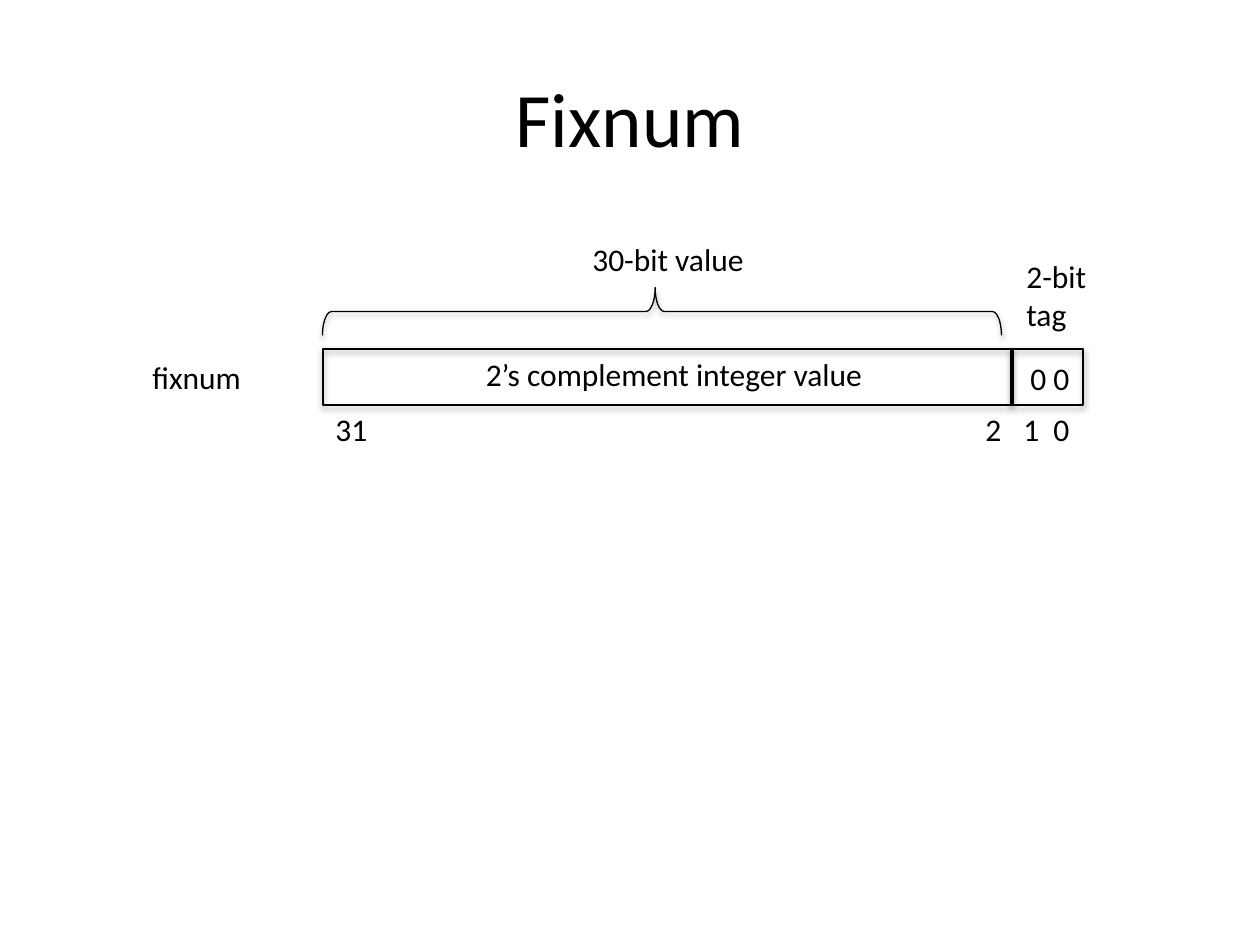
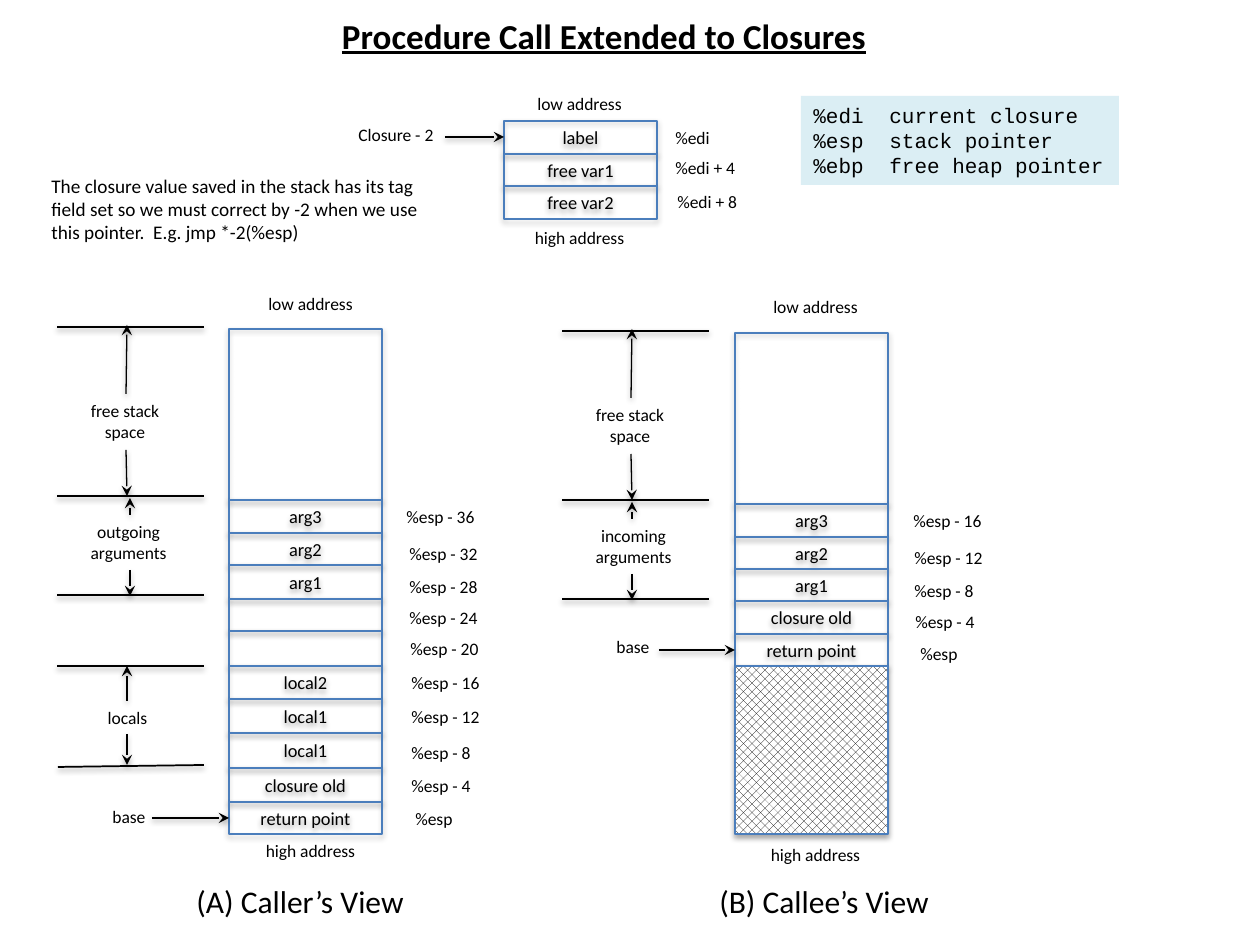
"""Build two slides: the fixnum bit layout and the closure call stack views."""
from lxml import etree
from pptx import Presentation
from pptx.dml.color import RGBColor
from pptx.enum.dml import MSO_PATTERN
from pptx.enum.shapes import MSO_CONNECTOR, MSO_SHAPE
from pptx.enum.text import MSO_ANCHOR, MSO_AUTO_SIZE, PP_ALIGN
from pptx.oxml.ns import qn
from pptx.util import Emu, Pt

RECT, BRACE = MSO_SHAPE.RECTANGLE, MSO_SHAPE.RIGHT_BRACE
STRAIGHT = MSO_CONNECTOR.STRAIGHT
LEFT, CENTER = PP_ALIGN.LEFT, PP_ALIGN.CENTER
MIDDLE, GROW = MSO_ANCHOR.MIDDLE, MSO_AUTO_SIZE.SHAPE_TO_FIT_TEXT
DOTS = MSO_PATTERN.PERCENT_50

BLACK = RGBColor(0, 0, 0)
WHITE = RGBColor(255, 255, 255)
BLUE = RGBColor(0x4B, 0x7E, 0xBC)
PALE_BLUE = RGBColor(0xDB, 0xEE, 0xF4)
BODY, MONO = "Calibri", "Courier New"
PX = 914400 / 126
CELL_W = 153
VIEW_SHIFT = (505, 4)

FIXNUM_LABELS = [
    ("0 0", 1018, 353, 64, 50),
    ("2-bit\ntag", 1014, 251, 86, 89),
    ("fixnum", 140, 352, 115, 50),
    ("30-bit value", 580, 234, 179, 50),
]
INTEGER_LABEL = ("2’s complement integer value", 444, 349, 460, 50)
BIT_NUMBERS, BIT_TABS = "31\t2\t1\t0", (650, 688, 718)

REGISTERS = "%edi\tcurrent closure\n%esp\tstack pointer\n%ebp\tfree heap pointer"
NOTE = ("The closure value saved in the stack has its tag field set so we must "
        "correct by -2 when we use this pointer.  E.g. jmp *-2(%esp)")

STACKS = [
    dict(x=504, end=219, low=(510, 87), high=(510, 221), rows=[
        ("label", 121, "%edi", 663, 121),
        ("free var1", 154, "%edi + 4", 663, 151),
        ("free var2", 186, "%edi + 8", 665, 185)]),
    dict(x=229, end=834, low=(241, 287), high=(241, 834), rows=[
        ("", 329, "", 0, 0),
        ("arg3", 500, "%esp - 36", 394, 500),
        ("arg2", 533, "%esp - 32", 397, 537),
        ("arg1", 565, "%esp - 28", 397, 570),
        ("", 599, "%esp - 24", 397, 601),
        ("", 631, "%esp - 20", 398, 632),
        ("local2", 666, "%esp - 16", 399, 666),
        ("local1", 699, "%esp - 12", 399, 700),
        ("local1", 733, "%esp - 8", 399, 736),
        ("closure old", 768, "%esp - 4", 399, 769),
        ("return point", 802, "%esp", 403, 802)]),
    dict(x=735, end=834, low=(746, 290), high=(746, 838), rows=[
        ("", 333, "", 0, 0),
        ("arg3", 504, "%esp - 16", 901, 504),
        ("arg2", 537, "%esp - 12", 902, 541),
        ("arg1", 569, "%esp - 8", 902, 574),
        ("closure old", 601, "%esp - 4", 903, 605),
        ("return point", 634, "%esp", 908, 637),
        ("hatched", 666, "", 0, 0)]),
]
VIEWS = [
    dict(args="outgoing\narguments", axis=130, shift=(0, 0),
         caption=("(A) Caller’s View", 184, 876, 236, 50)),
    dict(args="incoming\narguments", axis=127, shift=VIEW_SHIFT,
         caption=("(B) Callee’s View", 707, 876, 239, 50)),
]
RULE_YS = (327, 496, 595)
FREE_ARROWS = [(126, 394, 127, 325), (126, 450, 127, 496)]
ARG_ARROWS = [(515, 498), (570, 596)]
LOCAL_RULES = [(204, 666, 57, 666), (204, 765, 58, 767)]
LOCAL_ARROWS = [(127, 701, 127, 666), (127, 734, 127, 765)]
POINTERS = [
    ("base", 100, 800, 59, (152, 818, 229, 818)),
    ("base", 604, 630, 59, (659, 650, 735, 650)),
    ("Closure - 2", 346, 118, 102, (445, 137, 504, 137)),
]


def px(*lengths):
    return [Emu(round(n * PX)) for n in lengths]


def add_xml(parent, tag, **attrs):
    return etree.SubElement(parent, qn(tag), attrs)


def cast_shadow(sp, dist, alpha):
    effects = sp._element.spPr.find(qn("a:effectLst"))
    if effects is None:
        effects = add_xml(sp._element.spPr, "a:effectLst")
    shadow = add_xml(effects, "a:outerShdw", blurRad="40000", dist=str(dist),
                     dir="5400000", rotWithShape="0")
    color = add_xml(shadow, "a:srgbClr", val="000000")
    add_xml(color, "a:alpha", val=str(alpha * 1000))


def write(tf, text, size, align=LEFT, tabs=(), **font):
    style = dict(name=BODY, size=Pt(size)) | font
    for i, line in enumerate(text.split("\n")):
        p = tf.add_paragraph() if i else tf.paragraphs[0]
        p.alignment = align
        if tabs:
            stops = add_xml(p._p.get_or_add_pPr(), "a:tabLst")
            for stop in px(*tabs):
                add_xml(stops, "a:tab", pos=str(stop), algn="l")
        r = p.add_run()
        r.text = line
        r.font.color.rgb = BLACK
        for key, value in style.items():
            setattr(r.font, key, value)


def add_text(s, text, x, y, w, h, size, wrap=False, **style):
    sp = s.shapes.add_textbox(*px(x, y, w, h))
    sp.text_frame.word_wrap = wrap
    sp.text_frame.auto_size = GROW
    write(sp.text_frame, text, size, **style)
    return sp


def add_title(s, text, x, y, w, h, size, **font):
    sp = s.shapes.add_textbox(*px(x, y, w, h))
    sp.text_frame.word_wrap = True
    sp.text_frame.vertical_anchor = MIDDLE
    write(sp.text_frame, text, size, CENTER, **font)


def add_outline(s, kind, x, y, w, h, color, width, dist=23000, alpha=35):
    sp = s.shapes.add_shape(kind, *px(x, y, w, h))
    sp.fill.background()
    sp.line.color.rgb = color
    sp.line.width = Pt(width)
    sp.shadow.inherit = False
    cast_shadow(sp, dist, alpha)
    return sp


def add_line(s, x1, y1, x2, y2, width=1, arrow=False):
    sp = s.shapes.add_connector(STRAIGHT, *px(x1, y1, x2, y2))
    sp.line.color.rgb = BLACK
    sp.line.width = Pt(width)
    if arrow:
        add_xml(sp.line._get_or_add_ln(), "a:tailEnd", type="stealth")
    cast_shadow(sp, 20000, 38)


def add_stack(s, x, end, low, high, rows):
    bottoms = [row[1] for row in rows[1:]] + [end]
    for (label, top, ref, ref_x, ref_y), bottom in zip(rows, bottoms):
        sp = add_outline(s, RECT, x, top, CELL_W, bottom - top, BLUE, 0.75)
        if label == "hatched":
            sp.fill.patterned()
            sp.fill.pattern = DOTS
            sp.fill.fore_color.rgb = BLACK
            sp.fill.back_color.rgb = WHITE
        elif label:
            sp.text_frame.vertical_anchor = MIDDLE
            write(sp.text_frame, label, 10.5, CENTER)
        if ref:
            width = {4: 62, 8: 86, 9: 95}[len(ref)]
            add_text(s, ref, ref_x, ref_y, width, 34, 10)
    for text, spot in (("low address", low), ("high address", high)):
        add_text(s, text, *spot, 139, 34, 10, True, align=CENTER)


def add_view(s, args, axis, shift, caption):
    dx, dy = shift
    for y in RULE_YS:
        add_line(s, 204 + dx, y + dy, 57 + dx, y + dy)
    arrows = FREE_ARROWS + [(axis, y1, axis, y2) for y1, y2 in ARG_ARROWS]
    for x1, y1, x2, y2 in arrows:
        add_line(s, x1 + dx, y1 + dy, x2 + dx, y2 + dy, 0.75, True)
    for text, x, y, w in (("free stack space", 74, 394, 102), (args, 55, 515, 147)):
        add_text(s, text, x + dx, y + dy, w, 55, 10, True, align=CENTER)
    add_text(s, *caption, 18)


prs = Presentation()
prs.slide_width, prs.slide_height = px(1260, 945)
blank = prs.slide_layouts[6]

s = prs.slides.add_slide(blank)
add_title(s, "Fixnum", 63, 38, 1134, 157, 44)
add_outline(s, RECT, 323, 349, 760, 56, BLACK, 1.25)
add_text(s, BIT_NUMBERS, 323, 404, 766, 50, 18, True, tabs=BIT_TABS)
add_line(s, 1012, 349, 1012, 405, 2)
for label in FIXNUM_LABELS:
    add_text(s, *label, 18)
add_text(s, *INTEGER_LABEL, 18, True, align=CENTER)
brace = add_outline(s, BRACE, 638, -28, 48, 679, BLACK, 0.75, 20000, 38)
brace.rotation = 270
brace.adjustments[0], brace.adjustments[1] = 0.19, 0.49

s = prs.slides.add_slide(blank)
add_title(s, "Procedure Call Extended to Closures", 289, 0, 630, 70, 20,
          bold=True, underline=True)
for stack in STACKS:
    add_stack(s, **stack)
for view in VIEWS:
    add_view(s, **view)
for rule in LOCAL_RULES:
    add_line(s, *rule)
for arrow in LOCAL_ARROWS:
    add_line(s, *arrow, 0.75, True)
add_text(s, "locals", 58, 701, 139, 34, 10, True, align=CENTER)
for text, x, y, w, arrow in POINTERS:
    add_text(s, text, x, y, w, 34, 10)
    add_line(s, *arrow, arrow=True)
panel = add_text(s, REGISTERS, 801, 96, 318, 89, 12, tabs=(76,), name=MONO)
panel.fill.solid()
panel.fill.fore_color.rgb = PALE_BLUE
add_text(s, NOTE, 39, 168, 406, 83, 11, True)

prs.save("out.pptx")
